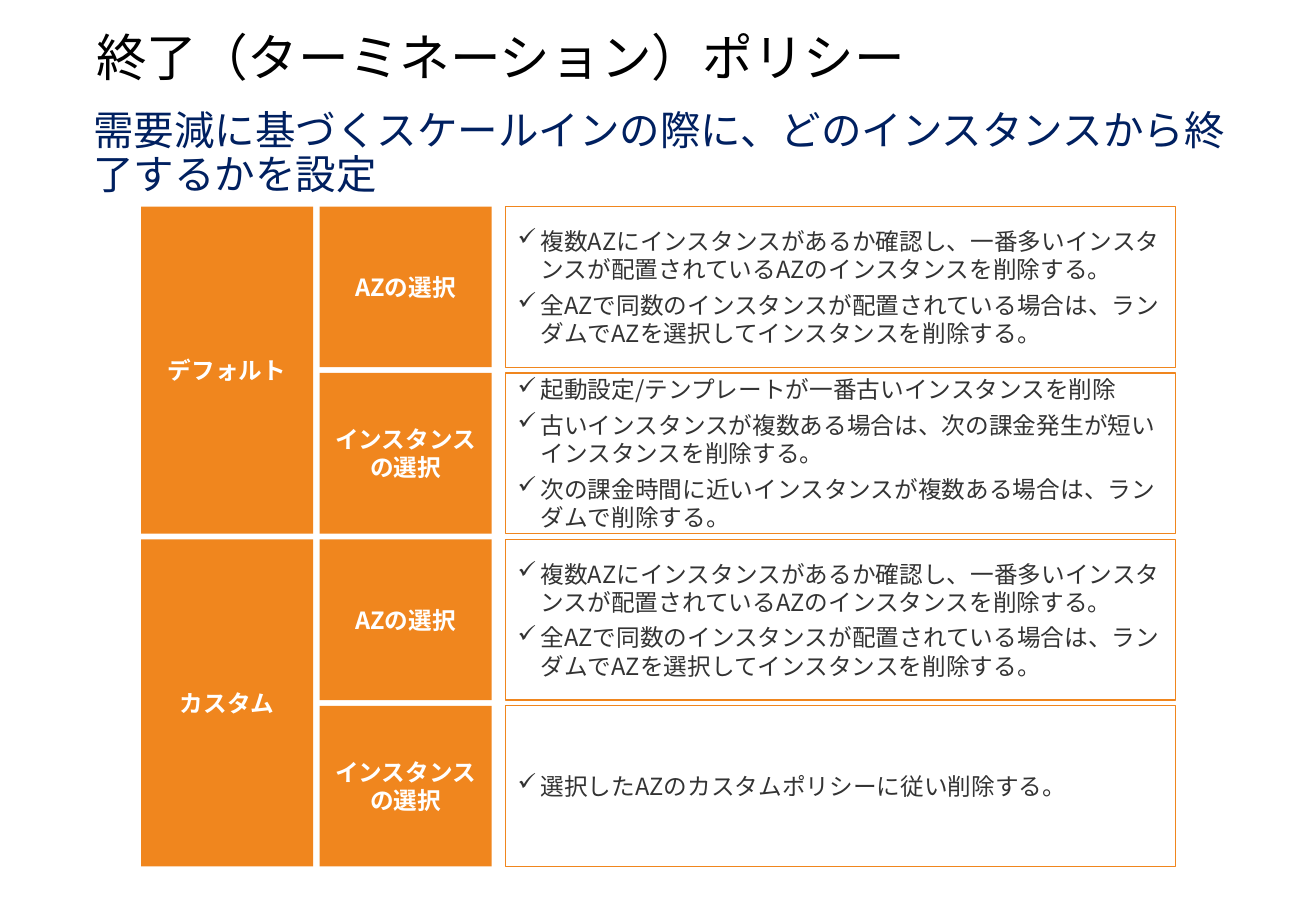
from dataclasses import dataclass

from lxml.etree import SubElement
from pptx import Presentation
from pptx.dml.color import RGBColor as Rgb
from pptx.enum.lang import MSO_LANGUAGE_ID as Lang
from pptx.enum.shapes import MSO_SHAPE as Kind
from pptx.enum.text import MSO_ANCHOR as Anchor, PP_ALIGN as Align
from pptx.oxml.ns import qn
from pptx.util import Cm, Pt

FONT = "Noto Sans CJK JP"
HUE = {
    "title": "000000",
    "lead": "002060",
    "body": "333333",
    "accent": "F0861E",
    "white": "FFFFFF",
}

# Grid in centimetres
TOP, PITCH, TALL = 4.32, 3.48, 3.36
MODE_X, STEP_X, NOTE_X = 2.95, 6.68, 10.57
LABEL_W, NOTE_W = 3.6, 14.0
HANG = 0.48


@dataclass
class Box:
    x: float
    y: float
    w: float
    h: float


@dataclass
class Step:
    name: str
    notes: list[str]


@dataclass
class Mode:
    name: str
    steps: list[Step]


ZONE = Step("AZの選択", [
    "複数AZにインスタンスがあるか確認し、一番多いインスタンスが配置されているAZのインスタンスを削除する。",
    "全AZで同数のインスタンスが配置されている場合は、ランダムでAZを選択してインスタンスを削除する。",
])
PICK = "インスタンスの選択"
MODES = [
    Mode("デフォルト", [ZONE, Step(PICK, [
        "起動設定/テンプレートが一番古いインスタンスを削除",
        "古いインスタンスが複数ある場合は、次の課金発生が短いインスタンスを削除する。",
        "次の課金時間に近いインスタンスが複数ある場合は、ランダムで削除する。",
    ])]),
    Mode("カスタム", [ZONE, Step(PICK, [
        "選択したAZのカスタムポリシーに従い削除する。",
    ])]),
]


def color(key: str) -> Rgb:
    return Rgb.from_string(HUE[key])


def write(para, text: str, size: float, hue: str, bold: bool = False) -> None:
    run = para.add_run()
    run.text = text
    font = run.font
    font.name, font.size, font.bold = FONT, Pt(size), bold
    font.color.rgb = color(hue)
    font.language_id = Lang.JAPANESE
    SubElement(font._element, qn("a:ea")).set("typeface", FONT)


def check(para) -> None:
    """Give the paragraph a check-mark bullet with a hanging indent."""
    props = para._p.get_or_add_pPr()
    props.set("marL", str(Cm(HANG)))
    props.set("indent", str(-Cm(HANG)))
    SubElement(props, qn("a:buChar")).set("char", "✓")


def head(slide, box: Box, text: str, size: float, hue: str, pad: float) -> None:
    shape = slide.shapes.add_textbox(Cm(box.x), Cm(box.y), Cm(box.w), Cm(box.h))
    frame = shape.text_frame
    frame.word_wrap = True
    frame.margin_left = frame.margin_right = Cm(2 * pad)
    frame.margin_top = frame.margin_bottom = Cm(pad)
    para = frame.paragraphs[0]
    para.line_spacing = 0.9
    write(para, text, size, hue)


def panel(slide, box: Box, fill: str):
    """Draw a filled rectangle and return it."""
    shape = slide.shapes.add_shape(
        Kind.RECTANGLE, Cm(box.x), Cm(box.y), Cm(box.w), Cm(box.h))
    shape.shadow.inherit = False
    shape.fill.solid()
    shape.fill.fore_color.rgb = color(fill)
    shape.line.fill.background()
    shape.text_frame.word_wrap = True
    shape.text_frame.vertical_anchor = Anchor.MIDDLE
    return shape


def label(slide, box: Box, text: str) -> None:
    para = panel(slide, box, "accent").text_frame.paragraphs[0]
    para.alignment = Align.CENTER
    write(para, text, 14, "white", bold=True)


def detail(slide, box: Box, notes: list[str]) -> None:
    shape = panel(slide, box, "white")
    shape.line.color.rgb = color("accent")
    shape.line.width = Pt(0.75)
    frame = shape.text_frame
    for i, note in enumerate(notes):
        para = frame.add_paragraph() if i else frame.paragraphs[0]
        para.alignment = Align.LEFT
        if i:
            para.space_before = Pt(4.2)
        check(para)
        write(para, note, 14, "body")


def main() -> None:
    deck = Presentation()
    deck.slide_width, deck.slide_height = Cm(27.51), Cm(19.05)
    slide = deck.slides.add_slide(deck.slide_layouts[6])

    head(slide, Box(1.75, 0.56, 24, 1.4),
         "終了（ターミネーション）ポリシー", 30, "title", 0.13)
    head(slide, Box(1.75, 2.21, 24.61, 0.91),
         "需要減に基づくスケールインの際に、どのインスタンスから終了するかを設定",
         24, "lead", 0.1)

    y = TOP
    for mode in MODES:
        span = PITCH * (len(mode.steps) - 1) + TALL
        label(slide, Box(MODE_X, y, LABEL_W, span), mode.name)
        for step in mode.steps:
            label(slide, Box(STEP_X, y, LABEL_W, TALL), step.name)
            detail(slide, Box(NOTE_X, y, NOTE_W, TALL), step.notes)
            y += PITCH

    deck.save("out.pptx")


if __name__ == "__main__":
    main()
